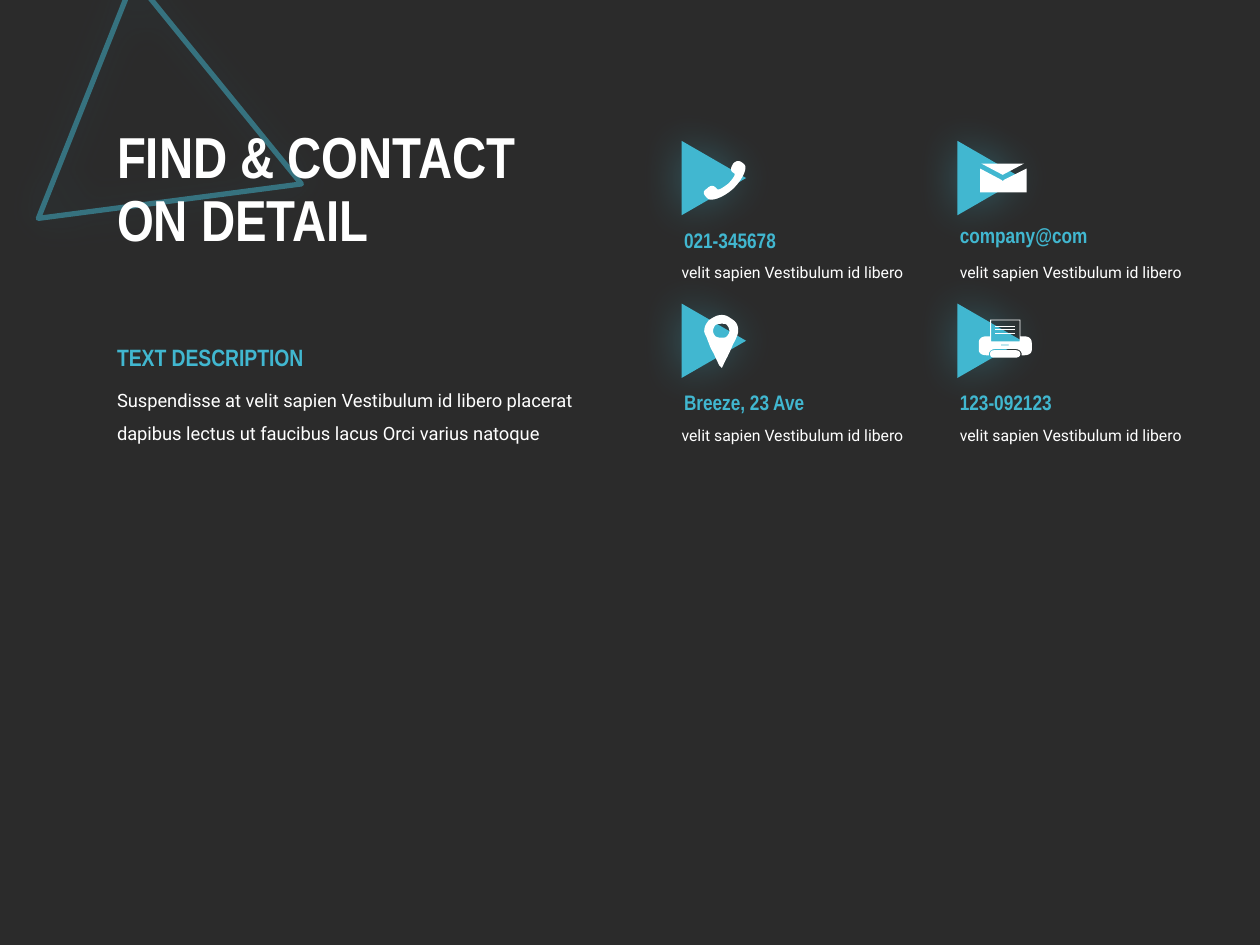
from lxml import etree
from pptx import Presentation
from pptx.dml.color import RGBColor
from pptx.enum.shapes import MSO_SHAPE
from pptx.enum.text import MSO_ANCHOR, MSO_AUTO_SIZE
from pptx.oxml.ns import qn
from pptx.util import Cm, Pt

TRIANGLE = MSO_SHAPE.ISOSCELES_TRIANGLE
MIDDLE = MSO_ANCHOR.MIDDLE
GROW = MSO_AUTO_SIZE.SHAPE_TO_FIT_TEXT
DARK = RGBColor(0x2B, 0x2B, 0x2B)
CYAN = RGBColor(0x41, 0xB7, 0xD0)
WHITE = RGBColor(0xFF, 0xFF, 0xFF)

TITLE = {"name": "Arial Narrow", "size": Pt(33), "bold": True}
LABEL = {"name": "Arial Narrow", "size": Pt(13.5), "bold": True}
HEAD = {"name": "Arial Narrow", "size": Pt(12), "bold": True}
BODY = {"name": "Roboto", "size": Pt(10.5)}
NOTE = {"name": "Roboto", "size": Pt(9)}

# text, box in cm (left, top, width, height), font, colour, line spacing
TEXTS = [
    ("FIND & CONTACT\vON DETAIL", (2.11, 1.85, 10.72, 4.01), TITLE, WHITE, 0.9),
    ("Suspendisse at velit sapien Vestibulum id libero placerat "
     "dapibus lectus ut faucibus lacus Orci varius natoque",
     (2.11, 7.49, 9.78, 1.52), BODY, WHITE, 1.5),
    ("TEXT DESCRIPTION", (2.11, 6.78, 4.67, 0.84), LABEL, CYAN, 1),
]
LINE = "velit sapien Vestibulum id libero"


def rect(left, top, right, low):
    return [(left, top), (right, top), (right, low), (left, low)]


# An icon is a list of shapes, a shape a list of outlines. In an outline,
# two numbers are a corner and six are a Bezier curve.
PHONE = [[[
    (42, 26), (39, 24, 38, 23, 41, 18), (45, 14, 48, 17, 50, 19),
    (52, 21, 50, 29, 41, 38), (32, 46, 23, 48, 21, 46),
    (19, 44, 15, 41, 20, 38), (24, 34, 26, 36, 28, 38),
    (29, 40, 33, 37, 37, 34), (40, 31, 43, 27, 42, 26),
]]]
MAIL = [[
    [(37, 31), (55, 22), (55, 41), (18, 41), (18, 22), (35, 31), (36, 32)],
    [(53, 18), (36, 27), (19, 18)],
]]
PIN = [[
    [(22, 13), (25, 11, 28, 9, 32, 9), (36, 9, 38, 11, 41, 13),
     (44, 15, 45, 18, 45, 22), (45, 23, 44, 27, 41, 32),
     (39, 37, 37, 41, 35, 45), (32, 51), (30, 49), (27, 43),
     (26, 40, 24, 37, 23, 35), (22, 32, 21, 30, 20, 27),
     (19, 25, 18, 23, 18, 22), (18, 18, 20, 15, 22, 13)],
    [(27, 26), (29, 27, 30, 27, 32, 27), (34, 27, 35, 27, 36, 26),
     (37, 25, 38, 23, 38, 22), (38, 20, 37, 18, 36, 17),
     (35, 16, 34, 16, 32, 16), (30, 16, 29, 16, 27, 17),
     (26, 18, 25, 20, 25, 22), (25, 23, 26, 25, 27, 26)],
]]
TRAY = [[
    (46, 37), (30, 37), (27, 37, 26, 38, 26, 40), (26, 42, 27, 43, 30, 43),
    (46, 43), (48, 43, 50, 42, 50, 40), (50, 38, 48, 37, 46, 37),
]]
CASE = [
    [(53, 26), (50, 26), (50, 12.7), (26, 12.7), (26, 26), (23, 26),
     (19, 26, 17, 28, 17, 31), (17, 37), (17, 39, 19, 41, 23, 41), (25, 41),
     (25, 40), (25, 38, 27, 36, 30, 36), (46, 36), (49, 36, 51, 38, 51, 40),
     (51, 41), (53, 41), (57, 41, 59, 39, 59, 37), (59, 31),
     (59, 28, 57, 26, 53, 26)],
    rect(26.8, 13.4, 49.3, 30),
    rect(34.5, 32.6, 40.8, 33.2),
]
PRINTER = [TRAY, CASE] + [[rect(30, y, 46, y + 0.8)] for y in (17.7, 20.5, 23.2)]

# head, its drop below the tile top, indent of the note, icon; row by row
ITEMS = [
    ("021-345678", 1.63, -0.25, PHONE),
    ("company@com", 1.53, -0.2, MAIL),
    ("Breeze, 23 Ave", 1.6, -0.25, PIN),
    ("123-092123", 1.6, -0.2, PRINTER),
]
LEFT, TOP, STEP_X, STEP_Y = 13.74, 2.84, 5.56, 3.28
SIDE, TALL = 1.5, 1.3
FINE = 100  # steps in one icon unit
STEPS = 8   # chords in one curve


def set_alpha(fill, share):
    tint = fill._xPr.find(".//" + qn("a:srgbClr"))
    etree.SubElement(tint, qn("a:alpha"), val=str(share * 1000))


def add_glow(shape):
    shape.shadow.inherit = False
    effects = shape._element.spPr.find(qn("a:effectLst"))
    glow = etree.SubElement(effects, qn("a:outerShdw"), blurRad=str(Pt(25)),
                            dist="0", dir="0", algn="ctr", rotWithShape="0")
    tint = etree.SubElement(glow, qn("a:srgbClr"), val=str(CYAN))
    etree.SubElement(tint, qn("a:alpha"), val="35000")


def add_triangle(shapes, box, turn):
    shape = shapes.add_shape(TRIANGLE, *map(Cm, box))
    shape.rotation = turn
    add_glow(shape)
    return shape


def add_text(shapes, text, box, font, color, space):
    shape = shapes.add_textbox(*map(Cm, box))
    frame = shape.text_frame
    frame.word_wrap = True
    if font is TITLE:
        frame.vertical_anchor = MIDDLE
    else:
        frame.auto_size = GROW
    par = frame.paragraphs[0]
    par.text = text
    par.line_spacing = space
    for run in par.runs:
        for key, val in font.items():
            setattr(run.font, key, val)
        run.font.color.rgb = color


def flatten(outline):
    """Turn corners and curves into plain points on the fine grid."""
    points = []
    for part in outline:
        if len(part) == 2:
            points.append(part)
            continue
        start, one, two, end = points[-1], part[:2], part[2:4], part[4:]
        for step in range(1, STEPS + 1):
            t = step / STEPS
            u = 1 - t
            points.append(tuple(
                u**3 * a + 3 * u * u * t * b + 3 * u * t * t * c + t**3 * d
                for a, b, c, d in zip(start, one, two, end)))
    return [(x * FINE, y * FINE) for x, y in points]


def add_icon(shapes, icon, x, y):
    if len(icon) > 1:
        shapes = shapes.add_group_shape().shapes
    for outlines in icon:
        first, *rest = map(flatten, outlines)
        pen = shapes.build_freeform(*first[0], scale=Cm(0.0254) / FINE)
        pen.add_line_segments(first[1:])
        for points in rest:
            pen.move_to(*points[0])
            pen.add_line_segments(points[1:])
        shape = pen.convert_to_shape(Cm(x), Cm(y))
        shape.shadow.inherit = False
        shape.fill.solid()
        shape.fill.fore_color.rgb = WHITE
        shape.line.fill.background()


def add_item(shapes, x, y, head, drop, indent, icon):
    gap = (SIDE - TALL) / 2
    tile = add_triangle(shapes, (x - gap, y + gap, SIDE, TALL), 90)
    tile.fill.solid()
    tile.fill.fore_color.rgb = CYAN
    tile.line.fill.background()
    add_icon(shapes, icon, x, y)
    add_text(shapes, head, (x - 0.2, y + drop, 3.62, 0.76), HEAD, CYAN, 1)
    add_text(shapes, LINE, (x + indent, y + 2.14, 5.05, 0.76), NOTE, WHITE, 1.5)


def main():
    deck = Presentation()
    deck.slide_width, deck.slide_height = Cm(25.4), Cm(19.05)
    slide = deck.slides.add_slide(deck.slide_layouts[6])
    back = slide.background.fill
    back.solid()
    back.fore_color.rgb = DARK
    shapes = slide.shapes

    frame = add_triangle(shapes, (1.3, 0.51, 5.21, 4.67), 111.7)
    frame.fill.background()
    frame.line.color.rgb = CYAN
    frame.line.width = Pt(3)
    set_alpha(frame.line.fill, 50)

    for entry in TEXTS:
        add_text(shapes, *entry)
    for i, item in enumerate(ITEMS):
        row, col = divmod(i, 2)
        add_item(shapes, LEFT + col * STEP_X, TOP + row * STEP_Y, *item)
    deck.save("out.pptx")


if __name__ == "__main__":
    main()
